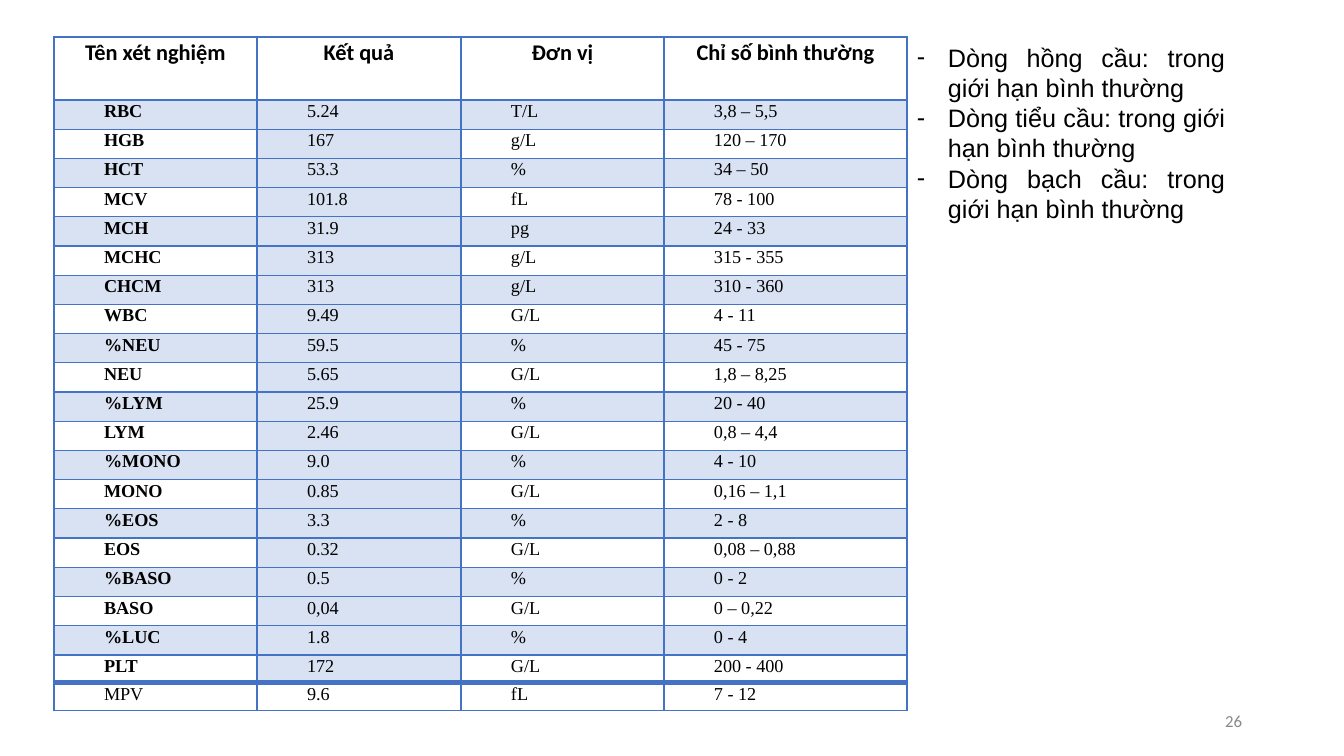
from lxml.etree import SubElement
from pptx import Presentation
from pptx.dml.color import RGBColor
from pptx.enum.text import MSO_ANCHOR, MSO_AUTO_SIZE, PP_ALIGN
from pptx.oxml.ns import qn
from pptx.util import Pt

BLUE = "4472C4"
BLACK = "000000"


def px(length):
    return round(length * 914400 / 100.8)


def add_run(paragraph, text, size, font_name, color=BLACK, bold=False):
    run = paragraph.add_run()
    run.text = text
    run.font.size = Pt(size)
    run.font.name = font_name
    run.font.bold = bold
    run.font.color.rgb = RGBColor.from_string(color)


headings = ["Tên xét nghiệm", "Kết quả", "Đơn vị", "Chỉ số bình thường"]
results = [
    ("RBC", "5.24", "T/L", "3,8 – 5,5"),
    ("HGB", "167", "g/L", "120 – 170"),
    ("HCT", "53.3", "%", "34 – 50"),
    ("MCV", "101.8", "fL", "78 - 100"),
    ("MCH", "31.9", "pg", "24 - 33"),
    ("MCHC", "313", "g/L", "315 - 355"),
    ("CHCM", "313", "g/L", "310 - 360"),
    ("WBC", "9.49", "G/L", "4 - 11"),
    ("%NEU", "59.5", "%", "45 - 75"),
    ("NEU", "5.65", "G/L", "1,8 – 8,25"),
    ("%LYM", "25.9", "%", "20 - 40"),
    ("LYM", "2.46", "G/L", "0,8 – 4,4"),
    ("%MONO", "9.0", "%", "4 - 10"),
    ("MONO", "0.85", "G/L", "0,16 – 1,1"),
    ("%EOS", "3.3", "%", "2 - 8"),
    ("EOS", "0.32", "G/L", "0,08 – 0,88"),
    ("%BASO", "0.5", "%", "0 - 2"),
    ("BASO", "0,04", "G/L", "0 – 0,22"),
    ("%LUC", "1.8", "%", "0 - 4"),
    ("PLT", "172", "G/L", "200 - 400"),
    ("MPV", "9.6", "fL", "7 - 12"),
]
findings = [
    "Dòng hồng cầu: trong giới hạn bình thường",
    "Dòng tiểu cầu: trong giới hạn bình thường",
    "Dòng bạch cầu: trong giới hạn bình thường",
]

presentation = Presentation()
presentation.slide_width = px(1344)
presentation.slide_height = px(756)
slide = presentation.slides.add_slide(presentation.slide_layouts[6])

number_box = slide.shapes.add_textbox(px(950), px(701), px(302), px(40))
number_box.text_frame.word_wrap = True
number_box.text_frame.vertical_anchor = MSO_ANCHOR.MIDDLE
number_paragraph = number_box.text_frame.paragraphs[0]
number_paragraph.alignment = PP_ALIGN.RIGHT
add_run(number_paragraph, "26", 12, "Calibri", "888888")

rows = [headings] + results
last_row = len(rows) - 1
table = slide.shapes.add_table(len(rows), 4, px(54), px(37), px(853), px(674)).table
table.first_row = False
table.horz_banding = False
for column, width in zip(table.columns, [203, 204, 203, 243]):
    column.width = px(width)
for row_index, row in enumerate(table.rows):
    if row_index == 0:
        row.height = px(63)
    elif row_index < last_row - 1:
        row.height = px(555) // 19
    else:
        row.height = px(28)

edge_widths = {1: 2, last_row: 4}
for row_index, values in enumerate(rows):
    for column_index, value in enumerate(values):
        cell = table.cell(row_index, column_index)
        is_header = row_index == 0
        is_last = row_index == last_row
        cell.margin_left = cell.margin_right = px(5 if is_header else 0)
        cell.margin_top = cell.margin_bottom = 0

        paragraph = cell.text_frame.paragraphs[0]
        paragraph.line_spacing = 1.07
        if is_header:
            paragraph.alignment = PP_ALIGN.CENTER
            add_run(paragraph, value, 16, "Calibri", bold=True)
        else:
            properties = paragraph._p.get_or_add_pPr()
            properties.set("marL", str(px(50)))
            properties.set("indent", "0")
            is_bold = column_index == 0 and not is_last
            add_run(paragraph, value, 13, "Times New Roman", bold=is_bold)

        cell_properties = cell._tc.get_or_add_tcPr()
        borders = {
            "a:lnL": 1,
            "a:lnR": 1,
            "a:lnT": edge_widths.get(row_index, 1),
            "a:lnB": edge_widths.get(row_index + 1, 1),
        }
        for tag, width in borders.items():
            border = SubElement(cell_properties, qn(tag), w=str(Pt(width)))
            border_fill = SubElement(border, qn("a:solidFill"))
            SubElement(border_fill, qn("a:srgbClr"), val=BLUE)

        is_banded = row_index % 2 == 1 or column_index == 1
        if is_banded and not is_header and not is_last:
            cell.fill.solid()
            cell.fill.fore_color.rgb = RGBColor.from_string(BLUE)
            fill_color = cell_properties.find(qn("a:solidFill")).find(qn("a:srgbClr"))
            SubElement(fill_color, qn("a:alpha"), val="20000")
        else:
            cell.fill.background()

findings_box = slide.shapes.add_textbox(px(907), px(37), px(328), px(194))
findings_frame = findings_box.text_frame
findings_frame.word_wrap = True
findings_frame.auto_size = MSO_AUTO_SIZE.SHAPE_TO_FIT_TEXT
for index, finding in enumerate(findings):
    paragraph = findings_frame.add_paragraph() if index else findings_frame.paragraphs[0]
    paragraph.alignment = PP_ALIGN.JUSTIFY
    properties = paragraph._p.get_or_add_pPr()
    properties.set("marL", str(px(31)))
    properties.set("indent", str(-px(31)))
    bullet_color = SubElement(properties, qn("a:buClr"))
    SubElement(bullet_color, qn("a:srgbClr"), val=BLACK)
    SubElement(properties, qn("a:buFont"), typeface="Arial")
    SubElement(properties, qn("a:buChar"), char="-")
    add_run(paragraph, finding, 18, "Arial")

presentation.save("out.pptx")
